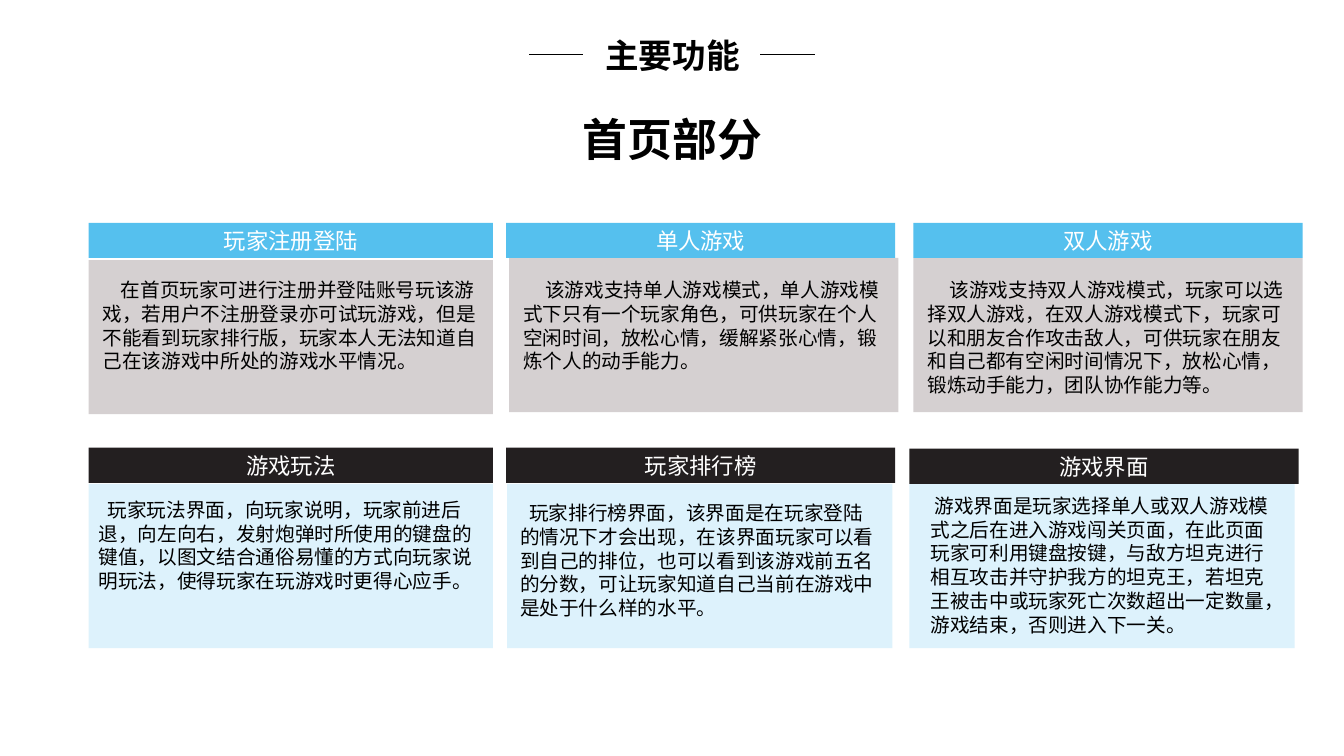
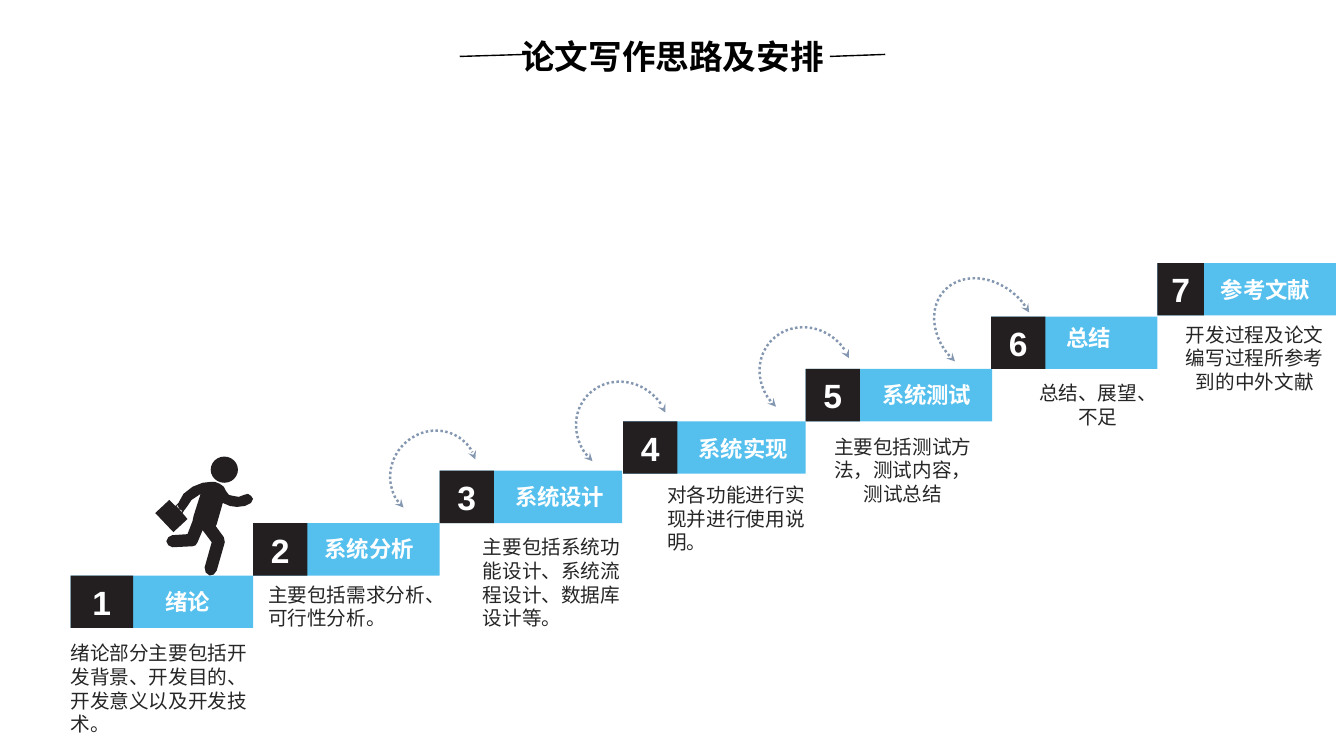
from dataclasses import dataclass

from lxml.etree import SubElement
from pptx import Presentation
from pptx.dml.color import RGBColor
from pptx.enum.dml import MSO_LINE
from pptx.enum.shapes import MSO_CONNECTOR, MSO_SHAPE
from pptx.enum.text import MSO_ANCHOR, MSO_AUTO_SIZE, PP_ALIGN
from pptx.oxml.ns import qn
from pptx.util import Inches, Pt

BLUE, INK, GREY, PALE = "55C0EE", "231F20", "D5D0D1", "DDF2FC"
WHITE, BLACK, NOTE, ARC = "FFFFFF", "000000", "262626", "8497B0"
LATIN, CJK = "Arial", "Noto Sans CJK SC"
LEFT, CENTER = PP_ALIGN.LEFT, PP_ALIGN.CENTER
LINE_HEIGHT = 1.21
BAR_HEIGHT, STEP_HEIGHT = 0.35, 0.52

Box = tuple[float, float, float, float]
Point = tuple[float, float]


@dataclass
class Card:
    heading: str
    bar: Point
    bar_width: float
    bar_color: str
    panel: Box
    panel_color: str
    body: Box
    indent: float
    text: str


@dataclass
class Step:
    label: str
    corner: Point
    width: float
    badge_width: float
    label_at: Point
    note: str
    note_box: Box
    note_align: PP_ALIGN = LEFT


CARDS = [
    Card("玩家注册登陆", (0.88, 2.21), 4.01, BLUE, (0.88, 2.58, 4.01, 1.53), GREY,
         (0.92, 2.71, 3.94, 1.04), 0.18,
         "在首页玩家可进行注册并登陆账号玩该游戏，若用户不注册登录亦可试玩游戏，但是不能看到玩家排行版，"
         "玩家本人无法知道自己在该游戏中所处的游戏水平情况。"),
    Card("单人游戏", (5.02, 2.21), 3.86, BLUE, (5.05, 2.56, 3.86, 1.53), GREY,
         (5.09, 2.71, 3.78, 1.04), 0.22,
         "该游戏支持单人游戏模式，单人游戏模式下只有一个玩家角色，可供玩家在个人空闲时间，放松心情，"
         "缓解紧张心情，锻炼个人的动手能力。"),
    Card("双人游戏", (9.06, 2.21), 3.86, BLUE, (9.06, 2.56, 3.86, 1.53), GREY,
         (9.1, 2.71, 3.78, 1.28), 0.22,
         "该游戏支持双人游戏模式，玩家可以选择双人游戏，在双人游戏模式下，玩家可以和朋友合作攻击敌人，"
         "可供玩家在朋友和自己都有空闲时间情况下，放松心情，锻炼动手能力，团队协作能力等。"),
    Card("游戏玩法", (0.88, 4.44), 4.01, INK, (0.88, 4.8, 4.01, 1.63), PALE,
         (0.88, 4.89, 3.91, 1.04), 0.09,
         "玩家玩法界面，向玩家说明，玩家前进后退，向左向右，发射炮弹时所使用的键盘的键值，"
         "以图文结合通俗易懂的方式向玩家说明玩法，使得玩家在玩游戏时更得心应手。"),
    Card("玩家排行榜", (5.02, 4.44), 3.86, INK, (5.03, 4.8, 3.82, 1.63), PALE,
         (5.06, 4.92, 3.76, 1.28), 0.09,
         "玩家排行榜界面，该界面是在玩家登陆的情况下才会出现，在该界面玩家可以看到自己的排位，"
         "也可以看到该游戏前五名的分数，可让玩家知道自己当前在游戏中是处于什么样的水平。"),
    Card("游戏界面", (9.02, 4.45), 3.86, INK, (9.02, 4.8, 3.82, 1.63), PALE,
         (9.13, 4.85, 3.65, 1.51), 0.04,
         "游戏界面是玩家选择单人或双人游戏模式之后在进入游戏闯关页面，在此页面玩家可利用键盘按键，"
         "与敌方坦克进行相互攻击并守护我方的坦克王，若坦克王被击中或玩家死亡次数超出一定数量，"
         "游戏结束，否则进入下一关。"),
]

STEPS = [
    Step("绪论", (0.7, 5.71), 1.81, 0.62, (1.54, 5.78),
         "绪论部分主要包括开发背景、开发目的、开发意义以及开发技术。", (0.6, 6.31, 2.02, 1.04)),
    Step("系统分析", (2.51, 5.19), 1.85, 0.54, (3.12, 5.26),
         "主要包括需求分析、可行性分析。", (2.56, 5.73, 1.81, 0.57)),
    Step("系统设计", (4.36, 4.67), 1.81, 0.54, (5.01, 4.74),
         "主要包括系统功能设计、系统流程设计、数据库设计等。", (4.69, 5.26, 1.73, 1.04)),
    Step("系统实现", (6.18, 4.18), 1.81, 0.54, (6.83, 4.27),
         "对各功能进行实现并进行使用说明。", (6.52, 4.74, 1.7, 0.81)),
    Step("系统测试", (7.99, 3.66), 1.85, 0.54, (8.65, 3.73),
         "主要包括测试方法，测试内容，测试总结", (8.08, 4.26, 1.75, 0.81), CENTER),
    Step("总结", (9.83, 3.14), 1.65, 0.54, (10.48, 3.16),
         "总结、展望、不足", (10.14, 3.73, 1.5, 0.57), CENTER),
    Step("参考文献", (11.48, 2.61), 1.77, 0.46, (12.01, 2.69),
         "开发过程及论文编写过程所参考到的中外文献", (11.64, 3.15, 1.61, 0.81), CENTER),
]

JUMPS = [(3.88, 4.26, 0.84, 0.89), (5.7, 3.8, 0.95, 0.89),
         (7.52, 3.26, 0.95, 0.89), (9.22, 2.81, 1.1, 0.89)]

RUNNER_HEAD = (2.09, 4.53, 0.27, 0.26)
RUNNER_BODY = [
    (2.49, 4.92), (2.46, 4.9), (2.42, 4.91), (2.37, 4.93), (2.31, 4.92), (2.27, 4.91),
    (2.24, 4.87), (2.22, 4.83), (2.18, 4.8), (2.13, 4.78), (2.1, 4.78), (2.01, 4.79),
    (1.91, 4.83), (1.82, 4.9), (1.77, 4.99), (1.74, 5.02), (1.68, 4.96), (1.54, 5.09),
    (1.72, 5.28), (1.86, 5.15), (1.81, 5.09), (1.83, 5.06), (1.86, 5.02), (1.9, 4.96),
    (1.99, 4.9), (1.92, 5.12), (1.91, 5.17), (1.86, 5.3), (1.71, 5.31), (1.67, 5.33),
    (1.65, 5.37), (1.67, 5.41), (1.71, 5.43), (1.91, 5.42), (1.94, 5.41), (1.96, 5.38),
    (2.01, 5.26), (2.1, 5.38), (2.03, 5.63), (2.04, 5.68), (2.08, 5.71), (2.12, 5.7),
    (2.15, 5.66), (2.23, 5.38), (2.22, 5.33), (2.14, 5.22), (2.15, 5.2), (2.21, 4.99),
    (2.28, 5.02), (2.35, 5.03), (2.43, 5.02), (2.49, 4.99), (2.51, 4.95),
]
CASE_HANDLE = [(1.81, 5.07), (1.8, 5.08), (1.75, 5.02), (1.76, 5.01), (1.78, 5.05)]


def rgb(color: str) -> RGBColor:
    return RGBColor.from_string(color)


def write(shape, text: str, size: float, color: str, bold: bool = False,
          align: PP_ALIGN = LEFT, font: str = LATIN, indent: float = 0) -> None:
    frame = shape.text_frame
    frame.text = text
    paragraph = frame.paragraphs[0]
    paragraph.alignment = align
    paragraph.line_spacing = Pt(size * LINE_HEIGHT)
    if indent:
        paragraph._p.get_or_add_pPr().set("indent", str(Inches(indent)))
    run = paragraph.runs[0]
    run.font.size = Pt(size)
    run.font.bold = bold
    run.font.name = font
    run.font.color.rgb = rgb(color)
    SubElement(run._r.get_or_add_rPr(), qn("a:ea")).set("typeface", CJK)


def add_text(slide, box: Box, text: str, size: float, color: str,
             wrap: bool = True, **style) -> None:
    holder = slide.shapes.add_textbox(*map(Inches, box))
    holder.text_frame.word_wrap = wrap
    write(holder, text, size, color, **style)


def paint(shape, color: str):
    shape.shadow.inherit = False
    shape.fill.solid()
    shape.fill.fore_color.rgb = rgb(color)
    shape.line.fill.background()
    return shape


def add_block(slide, box: Box, color: str, kind: MSO_SHAPE = MSO_SHAPE.RECTANGLE):
    return paint(slide.shapes.add_shape(kind, *map(Inches, box)), color)


def add_filled_label(slide, box: Box, color: str, text: str, size: float, bold: bool) -> None:
    block = add_block(slide, box, color)
    frame = block.text_frame
    frame.vertical_anchor = MSO_ANCHOR.MIDDLE
    frame.margin_top = frame.margin_bottom = Inches(0.03)
    write(block, text, size, WHITE, bold=bold, align=CENTER)


def add_titled_slide(deck, text: str, top: float, rules: list[tuple[Point, Point]]):
    slide = deck.slides.add_slide(deck.slide_layouts[5])
    title = slide.shapes.title
    title.left, title.top, title.width, title.height = map(Inches, (4.56, top, 4.22, 0.5))
    title.text_frame.vertical_anchor = MSO_ANCHOR.TOP
    title.text_frame.auto_size = MSO_AUTO_SIZE.NONE
    write(title, text, 24, BLACK, bold=True, align=CENTER, font=CJK)
    for start, end in rules:
        rule = slide.shapes.add_connector(MSO_CONNECTOR.STRAIGHT, *map(Inches, start + end))
        rule.line.color.rgb = rgb(BLACK)
        rule.line.width = Pt(1)
        SubElement(rule._element.spPr, qn("a:effectLst"))
    return slide


def add_card(slide, card: Card) -> None:
    add_block(slide, card.panel, card.panel_color)
    add_filled_label(slide, (*card.bar, card.bar_width, BAR_HEIGHT), card.bar_color,
                     card.heading, 16, False)
    add_text(slide, card.body, card.text, 14, BLACK, indent=card.indent)


def add_step(slide, number: int, step: Step) -> None:
    add_block(slide, (*step.corner, step.width, STEP_HEIGHT), BLUE)
    add_filled_label(slide, (*step.corner, step.badge_width, STEP_HEIGHT), INK,
                     str(number), 24, True)
    label_width = 0.2 + len(step.label) * 16 / 72
    add_text(slide, (*step.label_at, label_width, 0.37), step.label, 16, WHITE,
             wrap=False, bold=True)
    add_text(slide, step.note_box, step.note, 14, NOTE, align=step.note_align)


def add_jump(slide, box: Box) -> None:
    arc = slide.shapes.add_shape(MSO_SHAPE.ARC, *map(Inches, box))
    arc.shadow.inherit = False
    arc.adjustments[0] = 162
    arc.adjustments[1] = 70.97
    arc.rotation = 222.1
    arc.fill.background()
    arc.line.color.rgb = rgb(ARC)
    arc.line.width = Pt(1.75)
    arc.line.dash_style = MSO_LINE.ROUND_DOT
    outline = arc.line._get_or_add_ln()
    for end in ("a:headEnd", "a:tailEnd"):
        SubElement(outline, qn(end)).set("type", "stealth")


def add_runner(slide) -> None:
    add_block(slide, RUNNER_HEAD, INK, MSO_SHAPE.OVAL)
    body, handle = ([(Inches(x), Inches(y)) for x, y in outline]
                    for outline in (RUNNER_BODY, CASE_HANDLE))
    builder = slide.shapes.build_freeform(*body[0], scale=1.0)
    builder.add_line_segments(body[1:], close=True)
    builder.move_to(*handle[0])
    builder.add_line_segments(handle[1:], close=True)
    paint(builder.convert_to_shape(), INK)


def main() -> None:
    deck = Presentation()
    deck.slide_width, deck.slide_height = Inches(13.33), Inches(7.5)

    features = add_titled_slide(deck, "主要功能", 0.29,
                                [((5.25, 0.54), (5.78, 0.54)), ((7.54, 0.54), (8.08, 0.54))])
    add_text(features, (5.12, 1.06, 3.1, 0.64), "首页部分", 32, BLACK, bold=True, align=CENTER)
    for card in CARDS:
        add_card(features, card)

    outline = add_titled_slide(deck, "论文写作思路及安排", 0.3,
                               [((4.56, 0.56), (5.21, 0.54)), ((8.23, 0.56), (8.78, 0.54))])
    for number, step in enumerate(STEPS, 1):
        add_step(outline, number, step)
    for jump in JUMPS:
        add_jump(outline, jump)
    add_runner(outline)

    deck.save("out.pptx")


if __name__ == "__main__":
    main()
